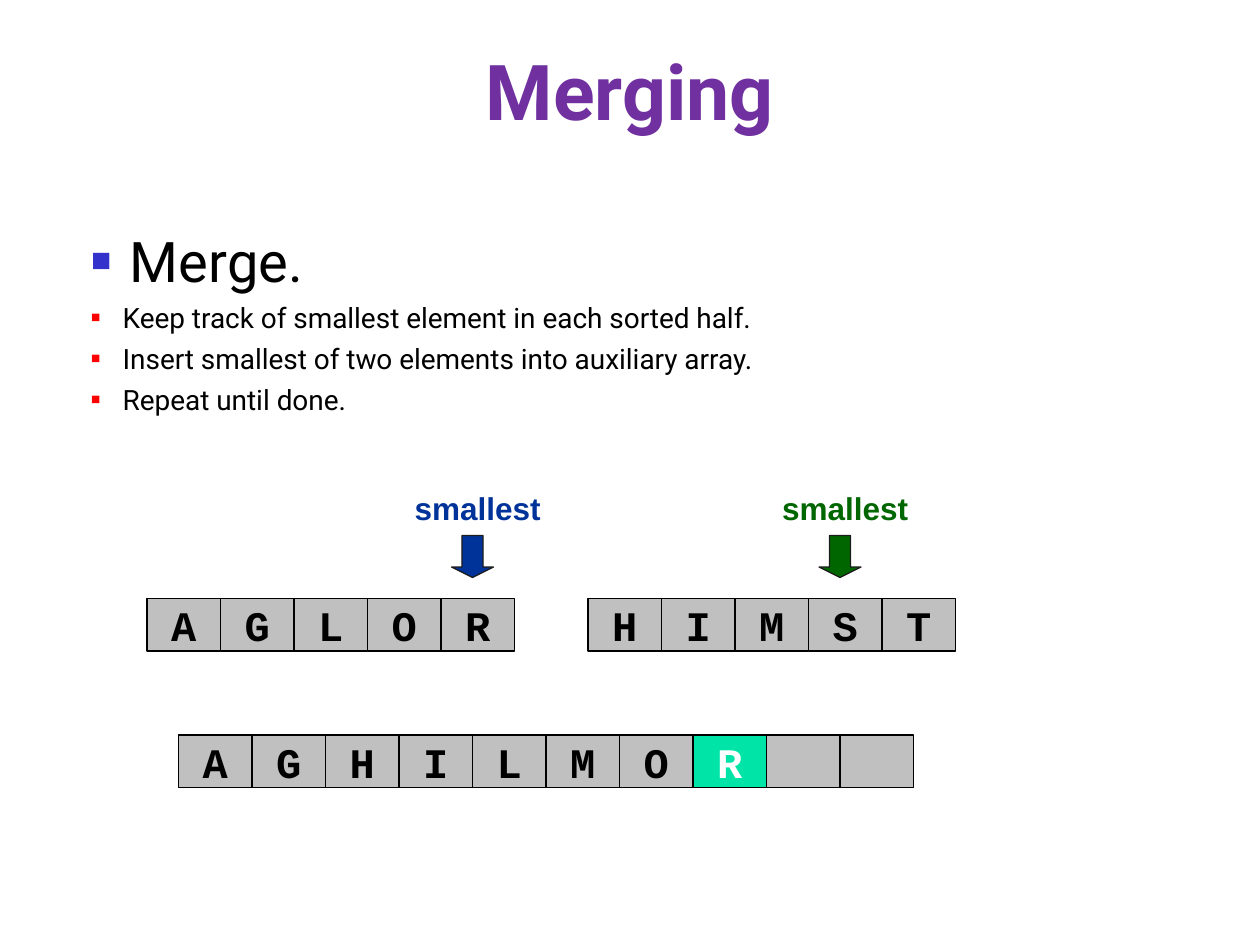
from pptx import Presentation
from pptx.dml.color import RGBColor
from pptx.enum.shapes import MSO_SHAPE
from pptx.enum.text import MSO_ANCHOR, PP_ALIGN
from pptx.oxml.ns import qn
from pptx.util import Pt
from lxml import etree

PX = 7620  # EMU per px, 120 px to the inch

BLACK = RGBColor(0x00, 0x00, 0x00)
WHITE = RGBColor(0xFF, 0xFF, 0xFF)
GREY = RGBColor(0xC0, 0xC0, 0xC0)
OUTLINE = RGBColor(0x1C, 0x1C, 0x1C)
PURPLE = RGBColor(0x70, 0x30, 0xA0)
BLUE = RGBColor(0x00, 0x33, 0x99)
GREEN = RGBColor(0x00, 0x66, 0x00)
MINT = RGBColor(0x00, 0xE4, 0xA8)
BULLET_BLUE = RGBColor(0x33, 0x33, 0xCC)
BULLET_RED = RGBColor(0xFF, 0x00, 0x00)

CELL_W, CELL_H = 70, 50


def box(*lengths):
    return [n * PX for n in lengths]


def style(p, font, size, color, bold=False):
    for r in p.runs:
        r.font.name = font
        r.font.size = Pt(size)
        r.font.bold = bold
        r.font.color.rgb = color


def add_text(s, text, at, font, size, color):
    tf = s.shapes.add_textbox(*box(*at)).text_frame
    tf.word_wrap = True
    tf.text = text
    p = tf.paragraphs[0]
    p.alignment = PP_ALIGN.CENTER
    style(p, font, size, color, bold=True)


def add_shape(s, kind, at, fill, line):
    sp = s.shapes.add_shape(kind, *box(*at))
    sp.shadow.inherit = False
    sp.fill.solid()
    sp.fill.fore_color.rgb = fill
    sp.line.color.rgb = line
    sp.line.width = Pt(0.75)
    return sp


def add_array(s, left, top, letters, highlight=None):
    for i, letter in enumerate(letters):
        marked = i == highlight
        at = (left + i * CELL_W, top, CELL_W, CELL_H)
        sp = add_shape(s, MSO_SHAPE.RECTANGLE, at, MINT if marked else GREY, BLACK)
        if not letter.strip():
            continue
        tf = sp.text_frame
        tf.word_wrap = False
        tf.vertical_anchor = MSO_ANCHOR.MIDDLE
        tf.text = letter
        p = tf.paragraphs[0]
        p.alignment = PP_ALIGN.CENTER
        style(p, "Courier New", 24, WHITE if marked else BLACK, bold=True)


def add_pointer(s, left, color):
    add_text(s, "smallest", (left, 460, 250, 48), "Arial", 18, color)
    add_shape(s, MSO_SHAPE.DOWN_ARROW, (left + 100, 510, 40, 40), color, OUTLINE).adjustments[1] = 0.25


def set_bullet(p, color, percent, margin, hanging):
    pPr = p._p.get_or_add_pPr()
    pPr.set("marL", str(margin * PX))
    pPr.set("indent", str(-hanging * PX))
    clr = etree.SubElement(pPr, qn("a:buClr"))
    etree.SubElement(clr, qn("a:srgbClr"), val=str(color))
    etree.SubElement(pPr, qn("a:buSzPct"), val=str(percent * 1000))
    etree.SubElement(pPr, qn("a:buFont"), typeface="Arial")
    etree.SubElement(pPr, qn("a:buChar"), char="■")


def add_body(s, heading, points):
    tf = s.shapes.add_textbox(*box(60, 210, 1080, 594)).text_frame
    tf.word_wrap = True
    tf.text = heading
    p = tf.paragraphs[0]
    set_bullet(p, BULLET_BLUE, 60, 52, 37)
    style(p, "Roboto", 32, BLACK)
    for point in points:
        p = tf.add_paragraph()
        p.text = point
        p.level = 1
        set_bullet(p, BULLET_RED, 55, 45, 30)
        p.space_before = Pt(4)
        style(p, "Roboto", 16, BLACK)


def main():
    prs = Presentation()
    prs.slide_width, prs.slide_height = box(1200, 900)
    s = prs.slides.add_slide(prs.slide_layouts[6])

    # Title and explanation
    add_text(s, "Merging", (60, 36, 1080, 150), "Roboto", 44, PURPLE)
    add_body(s, "Merge.", [
        "Keep track of smallest element in each sorted half.",
        "Insert smallest of two elements into auxiliary array.",
        "Repeat until done.",
    ])

    # Sorted halves with their current smallest elements
    add_pointer(s, 330, BLUE)
    add_pointer(s, 680, GREEN)
    add_array(s, 140, 570, "AGLOR")
    add_array(s, 560, 570, "HIMST")

    # Auxiliary array, two cells still empty
    add_array(s, 170, 700, "AGHILMOR".ljust(10), highlight=7)

    prs.save("out.pptx")


if __name__ == "__main__":
    main()
